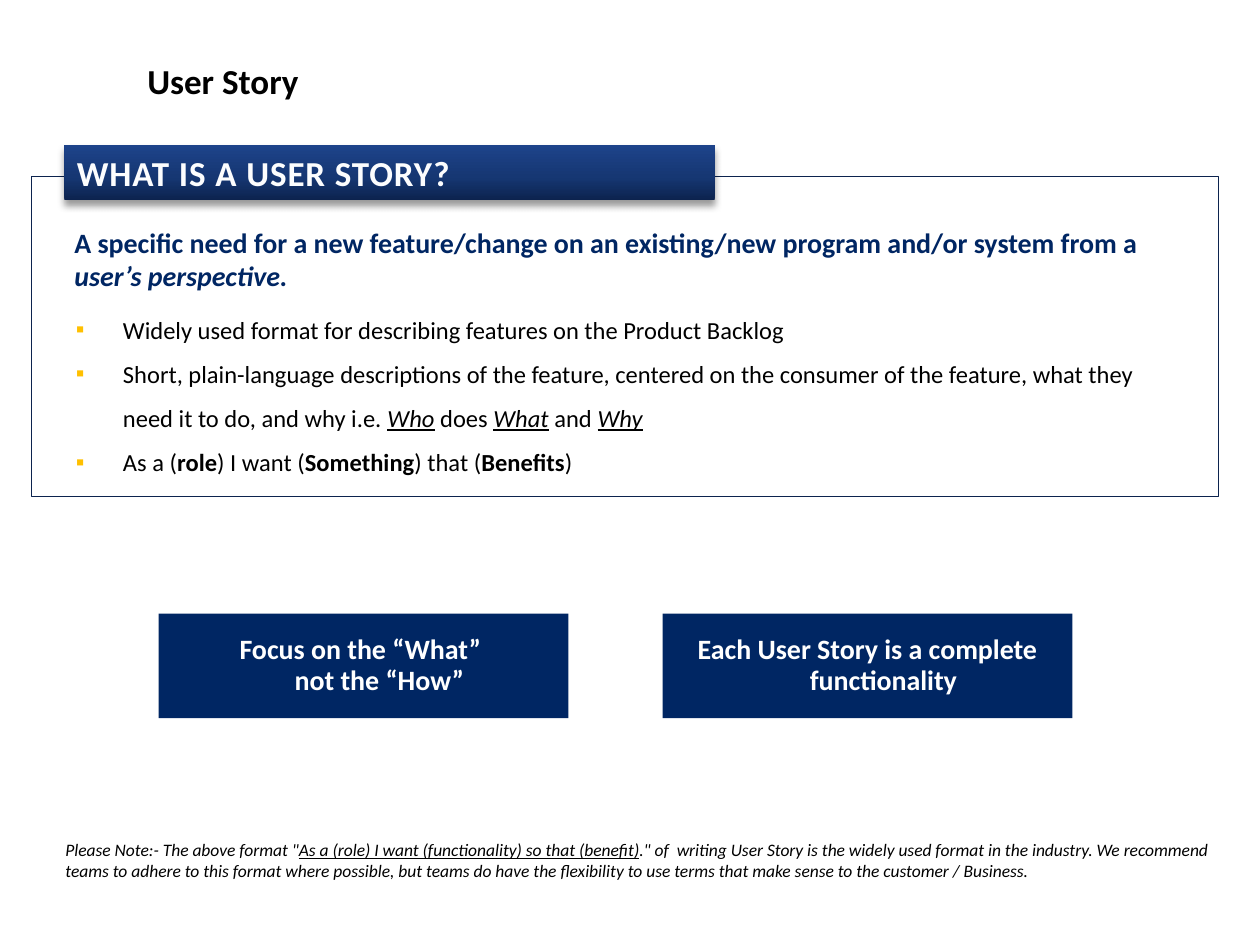
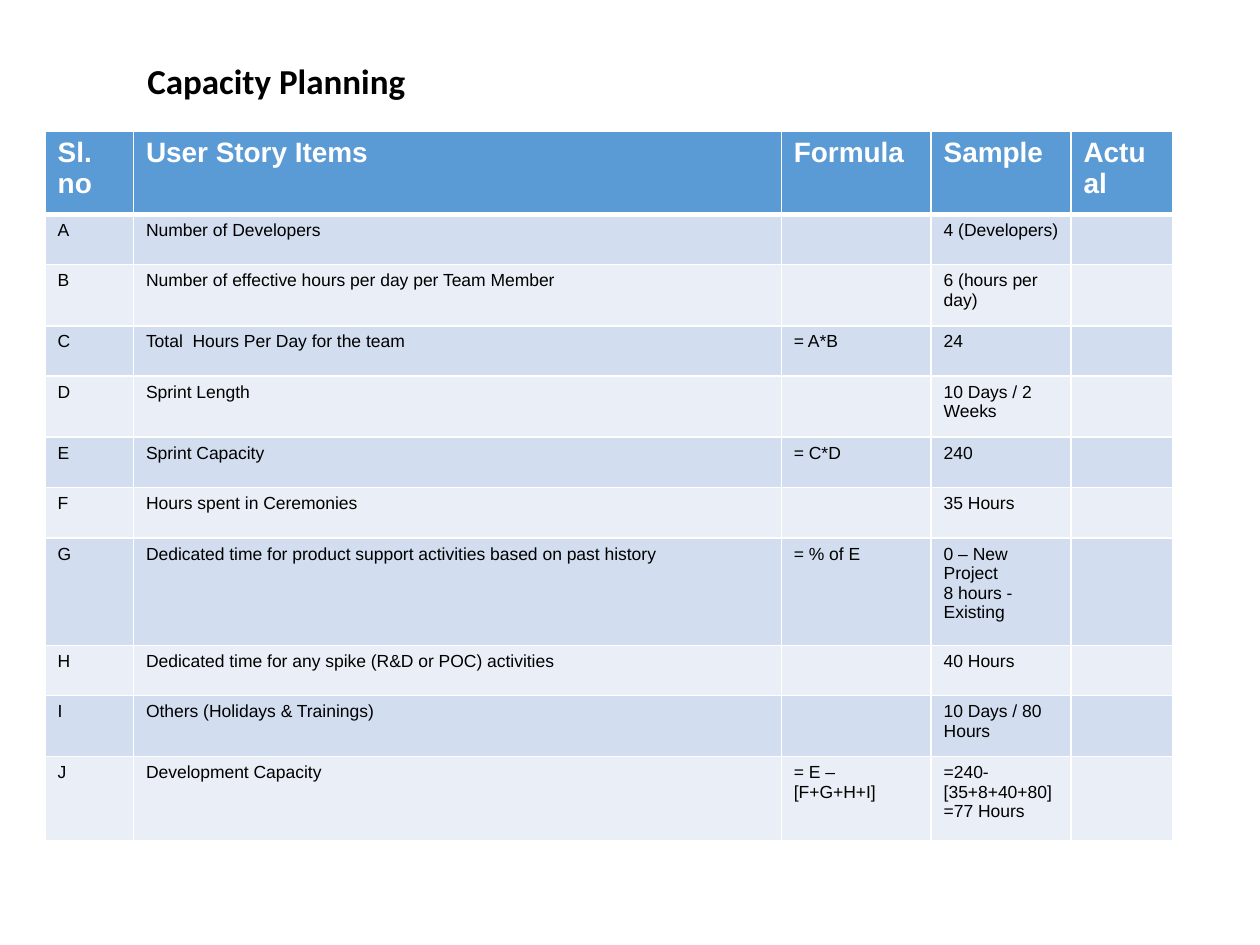
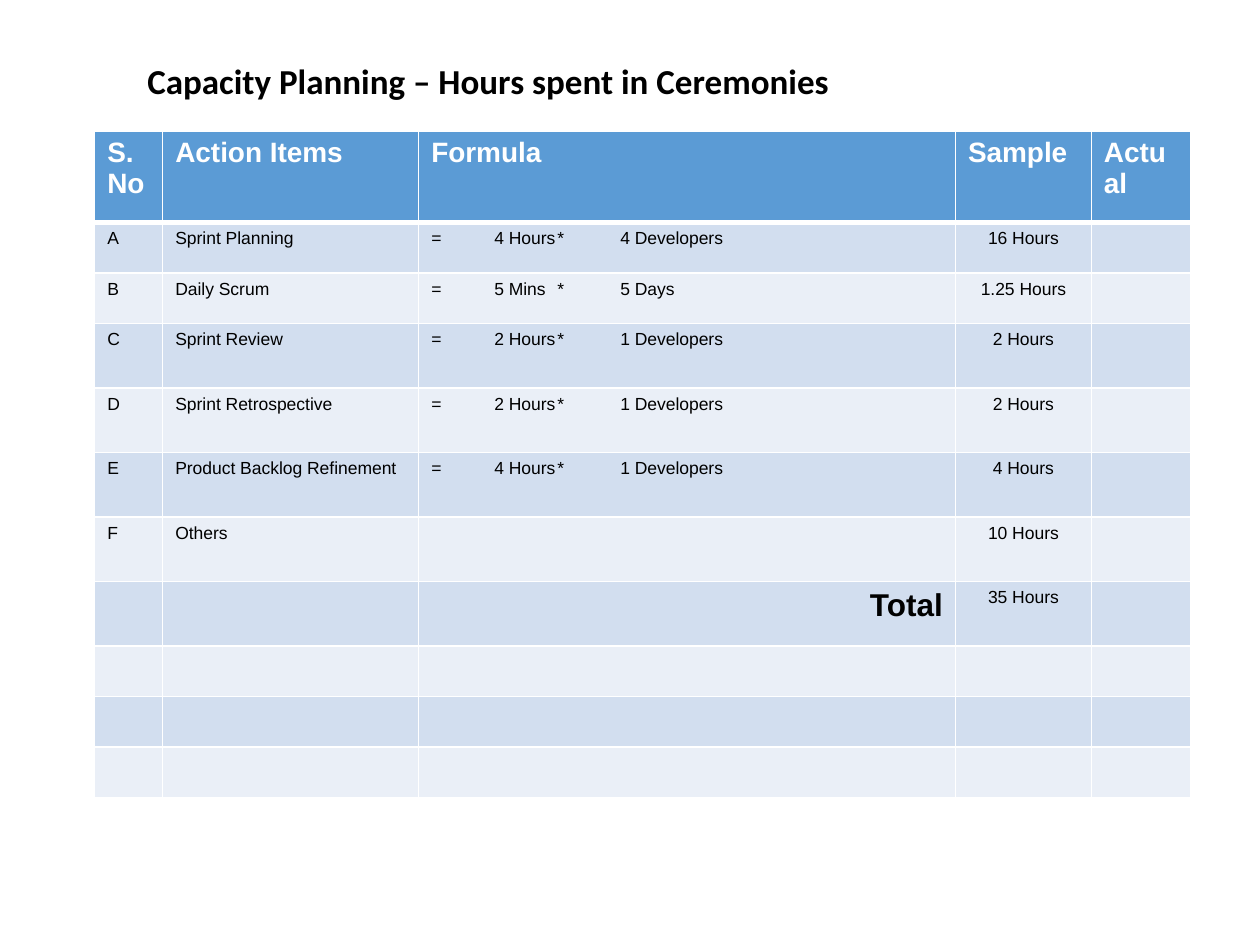
import dataclasses
import itertools

import lxml.etree
import pptx
import pptx.dml.color
import pptx.enum.shapes
import pptx.enum.text
import pptx.oxml.ns
import pptx.util

Cm = pptx.util.Cm
Pt = pptx.util.Pt
ALIGN = pptx.enum.text.PP_ALIGN
ANCHOR = pptx.enum.text.MSO_ANCHOR


@dataclasses.dataclass(frozen=True)
class Theme:
    heading_font: str = "Calibri"
    table_font: str = "Arial"
    ink: str = "000000"
    white: str = "FFFFFF"
    ribbon_text: str = "FCFDFE"
    navy: str = "002663"
    frame: str = "0C234E"
    ribbon: tuple = ((0, "0C234E"), (42, "163773"), (100, "1D438A"))
    bullet: str = "FFC000"
    header: str = "5B9BD5"
    bands: tuple = ("D2DEEF", "EAEFF7")
    title: int = 20
    lead: int = 16
    body: int = 14
    small: int = 10
    total: int = 18


@dataclasses.dataclass(frozen=True)
class Box:
    x: float
    y: float
    w: float
    h: float

    def inner(self, dx, dy, w, h):
        return Box(self.x + dx, self.y + dy, w, h)

    def place(self):
        return Cm(self.x), Cm(self.y), Cm(self.w), Cm(self.h)


T = Theme()
TITLE_BOX = Box(2.72, 1.07, 18.6, 1.02)
FORMULA_TABS = (1.4, 3.2, 3.74)


def rgb(value):
    return pptx.dml.color.RGBColor.from_string(value)


def child(parent, tag, **attrs):
    attrs = {name: str(value) for name, value in attrs.items()}
    return lxml.etree.SubElement(parent, pptx.oxml.ns.qn(tag), attrs)


def write(tf, runs, size=T.body, color=T.ink, font=T.heading_font, bold=False,
          italic=False, align=None, spacing=None, before=None, left=0, indent=0,
          bullet=None, tabs=(), tracking=None, new=False):
    tf.word_wrap = True
    p = tf.add_paragraph() if new else tf.paragraphs[0]
    p.alignment = align
    p.line_spacing = spacing
    if before:
        p.space_before = Pt(before)
    pPr = p._p.get_or_add_pPr()
    pPr.set("marL", str(Cm(left)))
    pPr.set("indent", str(Cm(indent)))
    if bullet:
        child(child(pPr, "a:buClr"), "a:srgbClr", val=T.bullet)
        child(pPr, "a:buFont", typeface=T.table_font)
        child(pPr, "a:buChar", char=bullet)
    if tabs:
        stops = child(pPr, "a:tabLst")
        for pos in tabs:
            child(stops, "a:tab", pos=Cm(pos), algn="l")
    if not runs:
        child(p._p, "a:endParaRPr", sz=size * 100)
    for run in [runs] if isinstance(runs, str) else runs:
        text, fmt = (run, {}) if isinstance(run, str) else run
        for i, line in enumerate(text.split("\n")):
            if i:
                p.add_line_break()
            r = p.add_run()
            r.text = line
            r.font.name = font
            r.font.size = Pt(size)
            r.font.color.rgb = rgb(color)
            r.font.bold = fmt.get("bold", bold)
            r.font.italic = fmt.get("italic", italic)
            r.font.underline = fmt.get("underline", False)
            if tracking:
                r._r.get_or_add_rPr().set("spc", str(tracking))
    return p


def text_box(s, box, runs, **fmt):
    tf = s.shapes.add_textbox(*box.place()).text_frame
    write(tf, runs, **fmt)
    return tf


def rectangle(s, box, fill=None, line=None):
    sp = s.shapes.add_shape(pptx.enum.shapes.MSO_SHAPE.RECTANGLE, *box.place())
    sp.shadow.inherit = False
    if fill:
        sp.fill.solid()
        sp.fill.fore_color.rgb = rgb(fill)
    else:
        sp.fill.background()
    if line:
        sp.line.color.rgb = rgb(line)
        sp.line.width = Pt(0.75)
    else:
        sp.line.fill.background()
    return sp


def ribbon(s, box, text):
    sp = rectangle(s, box, fill=T.frame)
    spPr = sp._element.spPr
    solid = spPr.find(pptx.oxml.ns.qn("a:solidFill"))
    grad = child(spPr, "a:gradFill", rotWithShape=1)
    stops = child(grad, "a:gsLst")
    for pos, color in T.ribbon:
        child(child(stops, "a:gs", pos=pos * 1000), "a:srgbClr", val=color)
    child(grad, "a:lin", ang=16200000, scaled=0)
    spPr.replace(solid, grad)
    effects = spPr.find(pptx.oxml.ns.qn("a:effectLst"))
    shadow = child(effects, "a:outerShdw", blurRad=Pt(4), dist=Pt(3),
                   dir=5400000, algn="t", rotWithShape=0)
    child(child(shadow, "a:srgbClr", val=T.ink), "a:alpha", val=40000)
    text_box(s, box.inner(0, 0, 12.7, box.h), text, size=T.title,
             color=T.ribbon_text, bold=True, tracking=50)


def definition_panel(s, box, heading, lead, points):
    tf = text_box(s, box.inner(0.64, 2.36, 22.05, 4.75), points[0], spacing=1.5,
                  left=0.95, indent=-0.95, bullet="▪")
    for point in points[1:]:
        write(tf, point, spacing=1.5, left=0.95, indent=-0.95, bullet="▪", new=True)
    text_box(s, box.inner(0.43, 0.86, 23.06, 5.08), lead, size=T.lead,
             color=T.navy, bold=True, before=7, left=0.18)
    rectangle(s, box, line=T.frame)
    ribbon(s, box.inner(0.66, -0.64, 13.11, 1.12), heading)


def callouts(s, box, messages, gap=1.9):
    w = (box.w - gap * (len(messages) - 1)) / len(messages)
    for i, message in enumerate(messages):
        sp = rectangle(s, box.inner(i * (w + gap), 0, w, box.h), fill=T.navy)
        sp.text_frame.vertical_anchor = ANCHOR.MIDDLE
        write(sp.text_frame, message, size=T.lead, color=T.white, bold=True,
              align=ALIGN.CENTER, spacing=0.9, left=0.64, indent=-0.64)


def style_cell(cell, fill, top=1, bottom=1):
    tcPr = cell._tc.get_or_add_tcPr()
    for side, width in zip("LRTB", (1, 1, top, bottom)):
        ln = child(tcPr, f"a:ln{side}", w=Pt(width))
        child(child(ln, "a:solidFill"), "a:srgbClr", val=T.white)
    cell.fill.solid()
    cell.fill.fore_color.rgb = rgb(fill)


def planning_table(s, x, y, widths, heights, header, rows, formats=None):
    formats = formats or {}
    box = Box(x, y, sum(widths), sum(heights))
    table = s.shapes.add_table(len(heights), len(widths), *box.place()).table
    for column, w in zip(table.columns, widths):
        column.width = Cm(w)
    for row, h in zip(table.rows, heights):
        row.height = Cm(h)
    for cell, text in zip(table.rows[0].cells, header):
        style_cell(cell, T.header, bottom=3)
        write(cell.text_frame, text, size=T.lead, color=T.white,
              font=T.table_font, bold=True)
    bands = itertools.cycle(T.bands)
    for i, (values, band) in enumerate(zip(rows, bands), start=1):
        cells = itertools.zip_longest(table.rows[i].cells, values, fillvalue="")
        for j, (cell, text) in enumerate(cells):
            style_cell(cell, band, top=3 if i == 1 else 1)
            fmt = {"size": T.small, "font": T.table_font}
            fmt |= formats.get(j, {}) | formats.get(text, {})
            for k, line in enumerate(text.split("\n")):
                write(cell.text_frame, line, new=k > 0, **fmt)


def new_slide(prs, title):
    s = prs.slides.add_slide(prs.slide_layouts[6])
    text_box(s, TITLE_BOX, title, size=T.title, bold=True)
    return s


def user_story_slide(prs):
    s = new_slide(prs, "User Story")
    bold = {"bold": True}
    key = {"italic": True, "underline": True}
    text_box(s, Box(1.07, 16.79, 23.93, 1.12), [
        'Please Note:- The above format "',
        ("As a (role) I want (functionality) so that (benefit)", {"underline": True}),
        '." of  writing User Story is the widely used format in the industry. '
        "We recommend teams to adhere to this format where possible, but teams do "
        "have the flexibility to use terms that make sense to the customer / Business.",
    ], size=T.small, italic=True)
    definition_panel(
        s, Box(0.64, 3.56, 23.93, 6.45), "WHAT IS A USER STORY?",
        ["A specific need for a new feature/change on an existing/new program "
         "and/or system from a ", ("user’s perspective.", {"italic": True})],
        [
            "Widely used format for describing features on the Product Backlog",
            ["Short, plain-language descriptions of the feature, centered on the "
             "consumer of the feature, what they need it to do, and why i.e. ",
             ("Who", key), " does ", ("What", key), " and ", ("Why", key)],
            ["As a (", ("role", bold), ") I want (", ("Something", bold),
             ") that (", ("Benefits", bold), ")"],
        ])
    callouts(s, Box(3.2, 12.37, 18.42, 2.11),
             ["Focus on the “What” \nnot the “How”",
              "Each User Story is a complete functionality"])


def capacity_slide(prs):
    s = new_slide(prs, "Capacity Planning")
    short, tall = 0.92, 1.23
    planning_table(
        s, 0.91, 2.64, (1.78, 13.06, 3.02, 2.82, 2.06),
        (1.68, short, tall, short, tall, short, short, 2.16, short, tall, 1.7),
        ("Sl. no", "User Story Items", "Formula", "Sample", "Actual"),
        [
            ("A", "Number of Developers", "", "4 (Developers)"),
            ("B", "Number of effective hours per day per Team Member", "",
             "6 (hours per day)"),
            ("C", "Total  Hours Per Day for the team", "= A*B", "24"),
            ("D", "Sprint Length", "", "10 Days / 2 Weeks"),
            ("E", "Sprint Capacity", "= C*D", "240"),
            ("F", "Hours spent in Ceremonies", "", "35 Hours"),
            ("G", "Dedicated time for product support activities based on past history",
             "= % of E", "0 – New Project\n8 hours - Existing"),
            ("H", "Dedicated time for any spike (R&D or POC) activities", "",
             "40 Hours"),
            ("I", "Others (Holidays & Trainings)", "", "10 Days / 80 Hours"),
            ("J", "Development Capacity", "= E – [F+G+H+I]",
             "=240-[35+8+40+80] =77 Hours"),
        ])


def ceremonies_slide(prs):
    s = new_slide(prs, "Capacity Planning – Hours spent in Ceremonies")
    short, tall = 1.01, 1.3
    planning_table(
        s, 1.91, 2.64, (1.37, 5.16, 10.82, 2.74, 2.01),
        (1.85, *[short] * 2, *[tall] * 5, *[short] * 3),
        ("S. No", "Action Items", "Formula", "Sample", "Actual"),
        [
            ("A", "Sprint Planning", "=\t4 Hours\t*\t4 Developers", "16 Hours"),
            ("B", "Daily Scrum", "=\t5 Mins\t*\t5 Days", "1.25 Hours"),
            ("C", "Sprint Review", "=\t2 Hours\t*\t1 Developers", "2 Hours"),
            ("D", "Sprint Retrospective", "=\t2 Hours\t*\t1 Developers", "2 Hours"),
            ("E", "Product Backlog Refinement", "=\t4 Hours\t*\t1 Developers",
             "4 Hours"),
            ("F", "Others", "", "10 Hours"),
            ("", "", "Total", "35 Hours"),
            (), (), (),
        ],
        formats={
            2: {"tabs": FORMULA_TABS},
            3: {"align": ALIGN.CENTER},
            "Total": {"size": T.total, "bold": True, "align": ALIGN.RIGHT},
        })


def main():
    prs = pptx.Presentation()
    prs.slide_width, prs.slide_height = Cm(25.4), Cm(19.05)
    user_story_slide(prs)
    capacity_slide(prs)
    ceremonies_slide(prs)
    prs.save("out.pptx")


if __name__ == "__main__":
    main()
